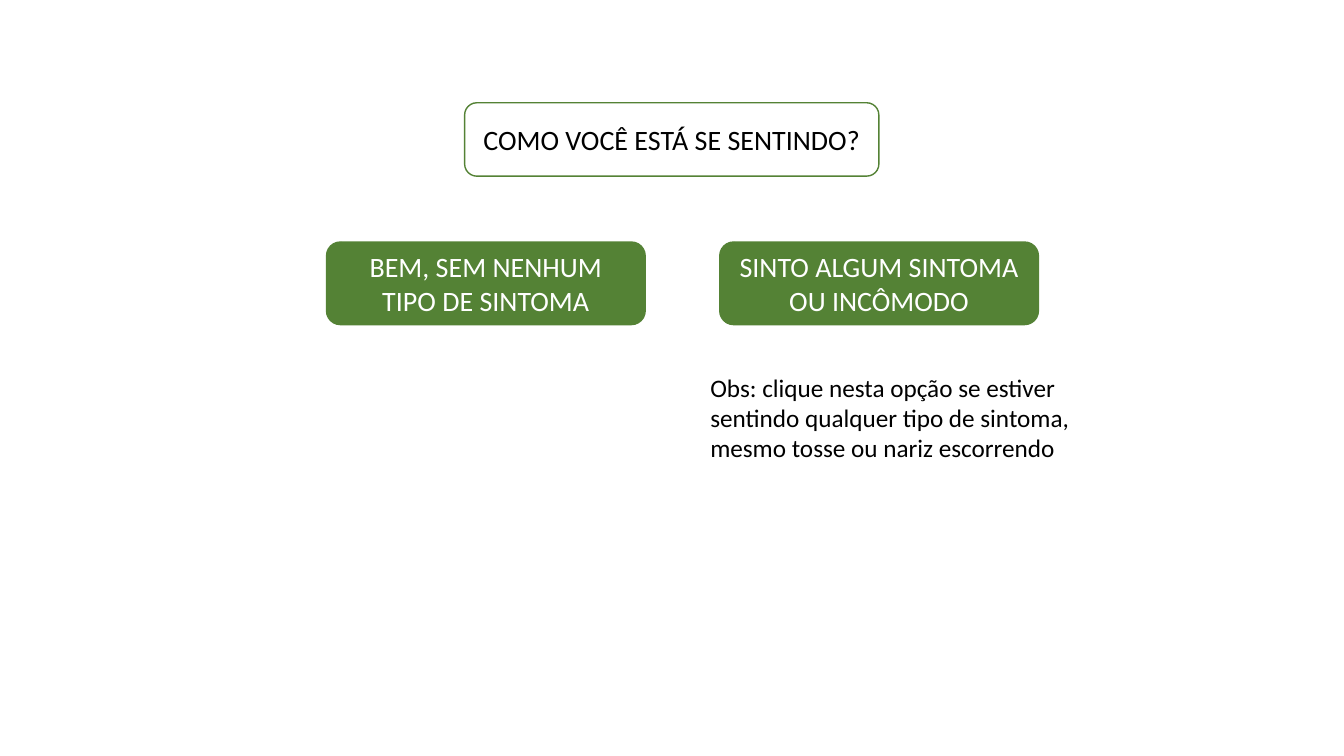
from dataclasses import dataclass

from pptx import Presentation
from pptx.dml.color import RGBColor
from pptx.enum.shapes import MSO_SHAPE
from pptx.enum.text import MSO_ANCHOR, MSO_AUTO_SIZE, PP_ALIGN
from pptx.util import Cm, Pt

ROUNDED = MSO_SHAPE.ROUNDED_RECTANGLE
PROCESS = MSO_SHAPE.FLOWCHART_ALTERNATE_PROCESS
MIDDLE = MSO_ANCHOR.MIDDLE
GROW = MSO_AUTO_SIZE.SHAPE_TO_FIT_TEXT
CENTER, LEFT = PP_ALIGN.CENTER, PP_ALIGN.LEFT

GREEN = RGBColor(0x54, 0x82, 0x35)
WHITE = RGBColor(0xFF, 0xFF, 0xFF)
BLACK = RGBColor(0x00, 0x00, 0x00)

OPTION_LEFT, OPTION_STEP = 8.23, 9.91
OPTIONS = ("BEM, SEM NENHUM TIPO DE SINTOMA", "SINTO ALGUM SINTOMA OU INCÔMODO")
NOTE = ("Obs: clique nesta opção se estiver sentindo qualquer tipo de sintoma, "
        "mesmo tosse ou nariz escorrendo")


@dataclass(frozen=True)
class Box:
    text: str
    left: float
    top: float
    width: float
    height: float
    kind: MSO_SHAPE
    fill: RGBColor
    color: RGBColor


BOXES = [Box("COMO VOCÊ ESTÁ SE SENTINDO?", 11.71, 2.59, 10.44, 1.85,
             ROUNDED, WHITE, BLACK)]
BOXES += [Box(text, OPTION_LEFT + i * OPTION_STEP, 6.1, 8.03, 2.08,
              PROCESS, GREEN, WHITE)
          for i, text in enumerate(OPTIONS)]


def write_text(tf, text: str, size: int, color: RGBColor, align: PP_ALIGN) -> None:
    tf.word_wrap = True
    p = tf.paragraphs[0]
    p.alignment = align
    r = p.add_run()
    r.text = text
    for name, value in {"name": "Calibri", "size": Pt(size)}.items():
        setattr(r.font, name, value)
    r.font.color.rgb = color


def add_box(s, box: Box) -> None:
    sp = s.shapes.add_shape(box.kind, Cm(box.left), Cm(box.top),
                            Cm(box.width), Cm(box.height))
    sp.shadow.inherit = False
    sp.fill.solid()
    sp.fill.fore_color.rgb = box.fill
    sp.line.color.rgb = GREEN
    sp.line.width = Pt(1)
    sp.text_frame.vertical_anchor = MIDDLE
    write_text(sp.text_frame, box.text, 20, box.color, CENTER)


def add_note(s) -> None:
    sp = s.shapes.add_textbox(Cm(17.65), Cm(9.25), Cm(9.98), Cm(2.57))
    write_text(sp.text_frame, NOTE, 18, BLACK, LEFT)
    sp.text_frame.auto_size = GROW


def main() -> None:
    prs = Presentation()
    prs.slide_width, prs.slide_height = Cm(33.87), Cm(19.05)
    s = prs.slides.add_slide(prs.slide_layouts.get_by_name("Blank"))
    for box in BOXES:
        add_box(s, box)
    add_note(s)
    prs.save("out.pptx")


if __name__ == "__main__":
    main()
